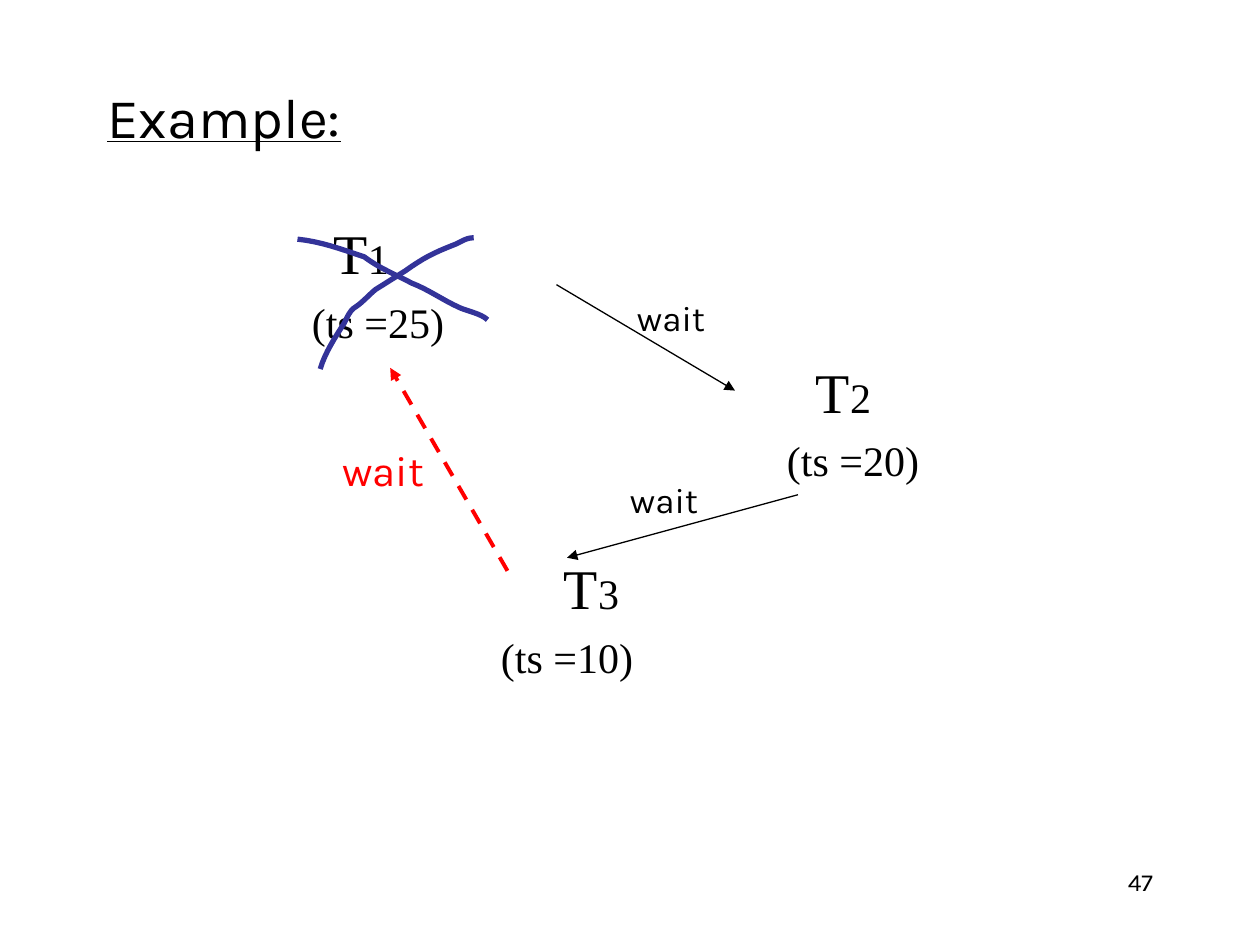
import pptx
import pptx.dml.color
import pptx.enum.dml
import pptx.enum.shapes
import pptx.enum.text
import pptx.oxml.ns
import pptx.util
from lxml import etree

Pt = pptx.util.Pt
PP_ALIGN = pptx.enum.text.PP_ALIGN
MSO_ANCHOR = pptx.enum.text.MSO_ANCHOR
DASH = pptx.enum.dml.MSO_LINE.DASH

BLACK = pptx.dml.color.RGBColor(0x00, 0x00, 0x00)
RED = pptx.dml.color.RGBColor(0xFF, 0x00, 0x00)
INDIGO = pptx.dml.color.RGBColor(0x33, 0x33, 0x99)
SANS = "Karla"
SERIF = "Times New Roman"

# Number, left indents of name and timestamp, timestamp, space before name
TRANSACTIONS = [
    ("1", 39.5, 27, 25, 0),
    ("2", 315, 298.5, 20, 6),
    ("3", 171, 135, 10, 39),
]
# Each stroke: start point, then control, control and end of every curve
CROSS_STROKES = [
    [(13, 75), (15.8, 65.6), (21.5, 57), (26.6, 49),
     (28, 46.2), (30.2, 41.1), (33, 39.7),
     (37.4, 36.8), (41, 32.5), (44.6, 29.6),
     (50.3, 26), (56.1, 22.4), (61.8, 18.8),
     (71.9, 11.6), (77.7, 8.7), (88.5, 4.4),
     (92.8, 3), (95.7, 0), (100.7, 0)],
    [(0, 0.8), (13.6, 2.2), (25.1, 6.6), (38.1, 10.9),
     (46.7, 17.4), (56.1, 21), (65.4, 26),
     (74.8, 29.6), (82.7, 35.4), (92.1, 39.7),
     (96.4, 41.8), (105, 43.3), (108.6, 46.9)],
]


def place(shape, box):
    shape.left, shape.top, shape.width, shape.height = map(Pt, box)


def style(font, size, color=BLACK, name=SANS):
    font.size, font.name = Pt(size), name
    font.color.rgb = color


def add_label(shapes, box, text, size, color=BLACK,
              align=PP_ALIGN.CENTER, anchor=MSO_ANCHOR.MIDDLE):
    label = shapes.add_textbox(*map(Pt, box))
    frame = label.text_frame
    frame.word_wrap = False
    frame.vertical_anchor = anchor
    paragraph = frame.paragraphs[0]
    paragraph.text = text
    paragraph.alignment = align
    style(paragraph.font, size, color)


def add_arrow(shapes, box, start, end, color=BLACK, width=0.75, dash=None):
    left, top = box[:2]
    arrow = shapes.add_connector(
        pptx.enum.shapes.MSO_CONNECTOR.STRAIGHT,
        Pt(left + start[0]), Pt(top + start[1]),
        Pt(left + end[0]), Pt(top + end[1]))
    arrow.line.color.rgb = color
    arrow.line.width = Pt(width)
    if dash:
        arrow.line.dash_style = dash
    qn = pptx.oxml.ns.qn
    properties = arrow.element.spPr
    etree.SubElement(properties.find(qn("a:ln")), qn("a:tailEnd"), type="triangle")
    etree.SubElement(properties, qn("a:effectLst"))


def curve_points(stroke, steps=8):
    """Points along a chain of cubic Bezier curves, without its start."""
    for first in range(0, len(stroke) - 1, 3):
        corners = stroke[first:first + 4]
        for step in range(1, steps + 1):
            t = step / steps
            weights = ((1 - t) ** 3, 3 * t * (1 - t) ** 2,
                       3 * t ** 2 * (1 - t), t ** 3)
            yield tuple(sum(w * corner[axis] for w, corner in zip(weights, corners))
                        for axis in (0, 1))


def add_cross(shapes, box):
    left, top = box[:2]
    for stroke in CROSS_STROKES:
        points = [(Pt(left + x), Pt(top + y))
                  for x, y in [stroke[0], *curve_points(stroke)]]
        builder = shapes.build_freeform(*points[0])
        builder.add_line_segments(points[1:], close=False)
        line = builder.convert_to_shape()
        line.shadow.inherit = False
        line.fill.background()
        line.line.color.rgb = INDIGO
        line.line.width = Pt(3)


def add_title(slide, box):
    title = slide.shapes.title
    place(title, box)
    frame = title.text_frame
    frame.word_wrap = False
    frame.vertical_anchor = MSO_ANCHOR.MIDDLE
    paragraph = frame.paragraphs[0]
    paragraph.text = "Example:"
    paragraph.alignment = PP_ALIGN.CENTER
    style(paragraph.font, 32)
    paragraph.font.underline = True


def format_entry(paragraph, indent, space_before):
    properties = paragraph._p.get_or_add_pPr()
    properties.set("marL", str(Pt(indent)))
    properties.set("indent", "0")
    etree.SubElement(properties, pptx.oxml.ns.qn("a:buNone"))
    paragraph.space_before = Pt(space_before)
    style(paragraph.font, 24, name=SERIF)


def add_transactions(slide, box):
    body = slide.placeholders[1]
    place(body, box)
    frame = body.text_frame
    for number, name_indent, stamp_indent, stamp, space_before in TRANSACTIONS:
        name = frame.paragraphs[0] if number == "1" else frame.add_paragraph()
        format_entry(name, name_indent, space_before)
        for text, size in (("T", 32), (number, 24)):
            run = name.add_run()
            run.text = text
            style(run.font, size, name=SERIF)
        timestamp = frame.add_paragraph()
        timestamp.text = f"(ts ={stamp})"
        format_entry(timestamp, stamp_indent, 6)


def add_waits(slide, box):
    left, top = box[:2]
    add_arrow(slide.shapes, box, (174, 41.5), (276, 102))
    add_arrow(slide.shapes, box, (312, 161.5), (180, 197.5))
    for x, y in ((207.5, 44), (203.5, 148)):
        add_label(slide.shapes, (left + x, top + y, 64, 32), "wait", 20)


def add_aborted_wait(slide, box):
    """The wait that closes the cycle, and the cross over its victim."""
    left, top = box[:2]
    shapes = slide.shapes.add_group_shape().shapes
    add_arrow(shapes, box, (146, 205), (79, 89), RED, 2.25, DASH.DASH)
    add_label(shapes, (left + 42, top + 129.5, 66, 36), "wait", 24, RED)
    add_cross(shapes, (left + 26, top + 14.7))


def main():
    presentation = pptx.Presentation()
    presentation.slide_width, presentation.slide_height = Pt(720), Pt(540)
    slide = presentation.slides.add_slide(presentation.slide_layouts[1])
    diagram = (144, 121.2, 444, 324)
    add_title(slide, (52.6, 43.2, 151, 46))
    add_transactions(slide, diagram)
    add_waits(slide, diagram)
    add_aborted_wait(slide, diagram)
    add_label(slide.shapes, (516, 492, 150, 36), "47", 14,
              align=PP_ALIGN.RIGHT, anchor=MSO_ANCHOR.TOP)
    presentation.save("out.pptx")


if __name__ == "__main__":
    main()
